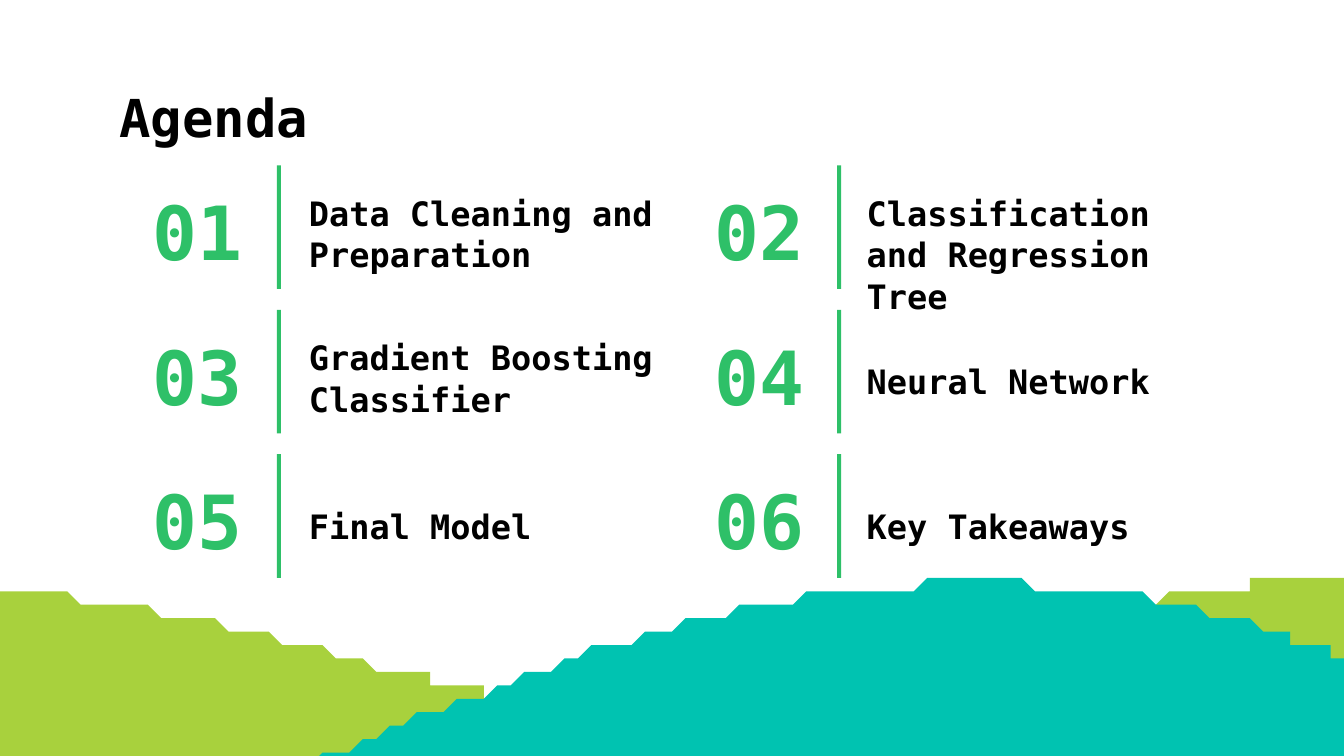
import dataclasses

import pptx
import pptx.dml.color
import pptx.enum.shapes
import pptx.enum.text
import pptx.util

ANCHOR = pptx.enum.text.MSO_ANCHOR
ALIGN = pptx.enum.text.PP_ALIGN


@dataclasses.dataclass(frozen=True)
class Theme:
    font: str = "DejaVu Sans Mono"
    ink: str = "000000"
    accent: str = "2EC068"
    back_hill: str = "A8D13D"
    front_hill: str = "00C3B1"
    title: int = 28
    number: int = 40
    label: int = 18


def smooth(knots, steps=8):
    """Points of a cubic curve running through the knots."""
    last = len(knots) - 1
    slopes = []
    for i in range(last + 1):
        (xa, ya), (xb, yb) = knots[max(i - 1, 0)], knots[min(i + 1, last)]
        slopes.append((yb - ya) / (xb - xa))
    points = [knots[0]]
    for i in range(last):
        (xa, ya), (xb, yb) = knots[i], knots[i + 1]
        w = xb - xa
        for k in range(1, steps + 1):
            t = k / steps
            y = ((2 * t**3 - 3 * t**2 + 1) * ya + (3 * t**2 - 2 * t**3) * yb
                 + w * (t**3 - 2 * t**2 + t) * slopes[i]
                 + w * (t**3 - t**2) * slopes[i + 1])
            points.append((xa + w * t, y))
    return points


class Deck:
    """Style and current slide; the grid has 100 columns and 56.25 rows."""
    COLS, ROWS = 100, 56.25

    def __init__(self, theme):
        self.theme = theme
        self.prs = pptx.Presentation()
        self.prs.slide_width = pptx.util.Inches(10)
        self.prs.slide_height = pptx.util.Inches(5.625)
        self.cell = self.prs.slide_width / self.COLS
        self.s = self.prs.slides.add_slide(self.prs.slide_layouts[6])

    def box(self, *cells):
        return [pptx.util.Emu(round(c * self.cell)) for c in cells]

    def paint(self, sp, color):
        sp.shadow.inherit = False
        sp.fill.solid()
        sp.fill.fore_color.rgb = pptx.dml.color.RGBColor.from_string(color)
        sp.line.fill.background()

    def hill(self, knots, bottom, color):
        outline = smooth(knots)
        outline += [(knots[-1][0], bottom), (knots[0][0], bottom)]
        fb = self.s.shapes.build_freeform(*outline[0], scale=self.cell)
        fb.add_line_segments(outline[1:], close=True)
        self.paint(fb.convert_to_shape(), color)

    def bar(self, x, y, w, h):
        kind = pptx.enum.shapes.MSO_SHAPE.RECTANGLE
        self.paint(self.s.shapes.add_shape(kind, *self.box(x, y, w, h)),
                   self.theme.accent)

    def text(self, words, x, y, w, h, size, color, anchor=ANCHOR.TOP,
             align=ALIGN.LEFT, spacing=None):
        tf = self.s.shapes.add_textbox(*self.box(x, y, w, h)).text_frame
        tf.word_wrap = True
        tf.vertical_anchor = anchor
        tf.margin_left, tf.margin_right, tf.margin_top, tf.margin_bottom = \
            self.box(1, 1, 1, 1)
        tf.text = words
        p = tf.paragraphs[0]
        p.alignment = align
        if spacing:
            p.line_spacing = spacing
        r = p.runs[0]
        r.font.name, r.font.bold = self.theme.font, True
        r.font.size = pptx.util.Pt(size)
        r.font.color.rgb = pptx.dml.color.RGBColor.from_string(color)

    def agenda_item(self, number, words, column, row, lines):
        t = self.theme
        top, height = 12.3 + 10.75 * row, 9.2
        label_height = 0.1 + 3.6 * lines
        self.text(f"{number:02d}", 8.9 + 41.8 * column, top, 10.1, height,
                  t.number, t.accent, ANCHOR.BOTTOM, ALIGN.RIGHT)
        self.bar(20.6 + 41.7 * column, top, 0.3, height)
        self.text(words, 22 + 41.5 * column, top + (height - label_height) / 2,
                  27.6, label_height, t.label, t.ink, spacing=1.03)


BACK_HILL = [(-0.4, 44.2), (5, 44.5), (11.1, 45.4), (17.9, 46.9), (25.5, 48.9),
             (31.6, 50.5), (37, 51.7), (43.2, 52.7), (49.3, 52.9),
             (55.3, 52.6), (61.2, 51.6), (67, 50.2), (73.4, 48.4), (80, 46.4),
             (85.8, 44.8), (91.1, 43.7), (97.4, 43.2), (103, 43.6)]
FRONT_HILL = [(0.1, 59.9), (5.1, 60.4), (11.3, 60), (17.9, 58.5), (24.2, 56.4),
              (30.4, 53.8), (36.6, 51.2), (42.4, 49), (48.3, 47.1),
              (54.2, 45.6), (60.2, 44.5), (66.2, 43.7), (72.3, 43.4),
              (79.5, 43.7), (86.6, 44.8), (93.5, 46.6), (99.4, 48.8),
              (103.5, 50.7)]
AGENDA = [("Data Cleaning and Preparation", 2),
          ("Classification and Regression Tree", 2),
          ("Gradient Boosting Classifier", 2),
          ("Neural Network", 1),
          ("Final Model", 1),
          ("Key Takeaways", 1)]


def main():
    theme = Theme()
    deck = Deck(theme)

    # Rolling hills along the bottom
    deck.hill(BACK_HILL, 61.9, theme.back_hill)
    deck.hill(FRONT_HILL, 62.2, theme.front_hill)

    # Title
    deck.text("Agenda", 7.9, 5.9, 84.2, 5.5, theme.title, theme.ink,
              ANCHOR.MIDDLE)

    # Numbered items in two columns
    for i, (words, lines) in enumerate(AGENDA):
        row, column = divmod(i, 2)
        deck.agenda_item(i + 1, words, column, row, lines)

    deck.prs.save("out.pptx")


if __name__ == "__main__":
    main()
